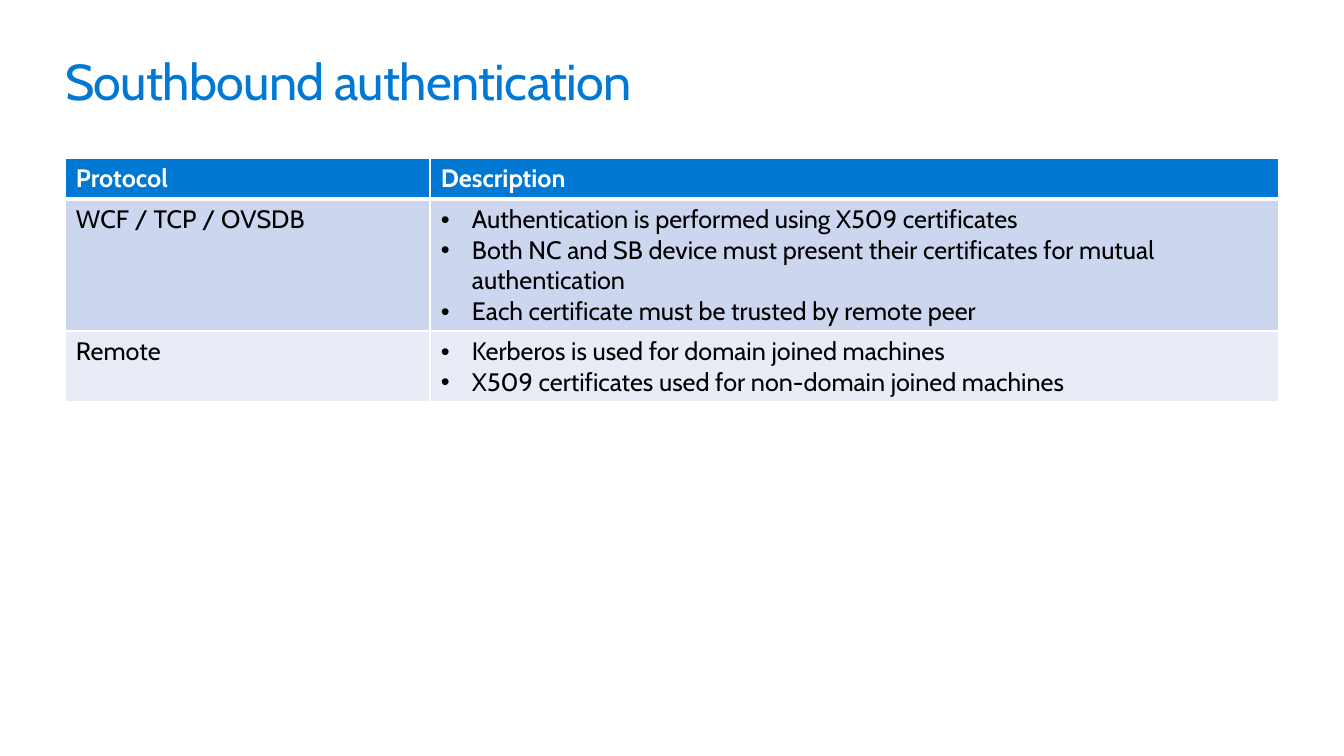
import pptx
import pptx.util
import pptx.dml.color
import pptx.oxml.ns
import lxml.etree

THEME = {
    "font": "Cabin",
    "blue": "0078D4", "white": "FFFFFF", "black": "000000",
    "bands": ["CCD6EF", "E7ECF7"],
    "title_size": 36, "table_size": 18,
}
SCALE = 914400 / 100.8  # EMU per px


def px(length):
    return pptx.util.Emu(round(length * SCALE))


def style_font(font, size, color, bold=False):
    values = {"name": THEME["font"], "size": pptx.util.Pt(size), "bold": bold}
    for attribute, value in values.items():
        setattr(font, attribute, value)
    font.color.rgb = pptx.dml.color.RGBColor.from_string(color)


deck = pptx.Presentation()
deck.slide_width, deck.slide_height = px(1344), px(756)
slide = deck.slides.add_slide(deck.slide_layouts[6])

# Title
heading = slide.shapes.add_textbox(px(65), px(50), px(1214), px(61)).text_frame
frame_format = {"word_wrap": True, "margin_left": 0, "margin_top": 0,
                "margin_right": 0, "margin_bottom": 0}
for attribute, value in frame_format.items():
    setattr(heading, attribute, value)
title_run = heading.paragraphs[0].add_run()
title_run.text = "Southbound authentication"
style_font(title_run.font, THEME["title_size"], THEME["blue"])
title_run.font._element.set("spc", "-50")

# Protocol table: a list marks a bulleted cell
rows = [
    ["Protocol", "Description"],
    ["WCF / TCP / OVSDB", [
        "Authentication is performed using X509 certificates",
        "Both NC and SB device must present their certificates for mutual authentication",
        "Each certificate must be trusted by remote peer",
    ]],
    ["Remote", [
        "Kerberos is used for domain joined machines",
        "X509 certificates used for non-domain joined machines",
    ]],
]
column_widths = [365, 849]
row_heights = [41, 132, 70]
protocols = slide.shapes.add_table(
    len(rows), len(column_widths), px(65), px(158),
    px(sum(column_widths)), px(sum(row_heights))).table
for column, width in zip(protocols.columns, column_widths):
    column.width = px(width)
for row, height in zip(protocols.rows, row_heights):
    row.height = px(height)

cell_format = {"margin_left": px(11), "margin_right": px(11),
               "margin_top": px(5), "margin_bottom": px(5)}
qn = pptx.oxml.ns.qn
for row_index, contents in enumerate(rows):
    header = row_index == 0
    fill = THEME["blue"] if header else THEME["bands"][row_index - 1]
    text_color = THEME["white"] if header else THEME["black"]
    for column_index, content in enumerate(contents):
        cell = protocols.cell(row_index, column_index)
        for attribute, value in cell_format.items():
            setattr(cell, attribute, value)

        # White borders, heavier between header and body
        properties = cell._tc.get_or_add_tcPr()
        for side in ("lnL", "lnR", "lnT", "lnB"):
            heavy = (row_index, side) in [(0, "lnB"), (1, "lnT")]
            border = lxml.etree.SubElement(
                properties, qn("a:" + side), w=str(pptx.util.Pt(3 if heavy else 1)))
            solid = lxml.etree.SubElement(border, qn("a:solidFill"))
            lxml.etree.SubElement(solid, qn("a:srgbClr"), val=THEME["white"])
        cell.fill.solid()
        cell.fill.fore_color.rgb = pptx.dml.color.RGBColor.from_string(fill)

        # Cell text
        bulleted = isinstance(content, list)
        lines = content if bulleted else [content]
        cell.text = "\n".join(lines)
        for paragraph in cell.text_frame.paragraphs:
            if bulleted:
                layout = paragraph._p.get_or_add_pPr()
                layout.set("marL", str(px(31)))
                layout.set("indent", str(px(-31)))
                lxml.etree.SubElement(layout, qn("a:buFont"), typeface="Arial")
                lxml.etree.SubElement(layout, qn("a:buChar"), char="•")
            style_font(paragraph.runs[0].font, THEME["table_size"], text_color, header)

deck.save("out.pptx")
